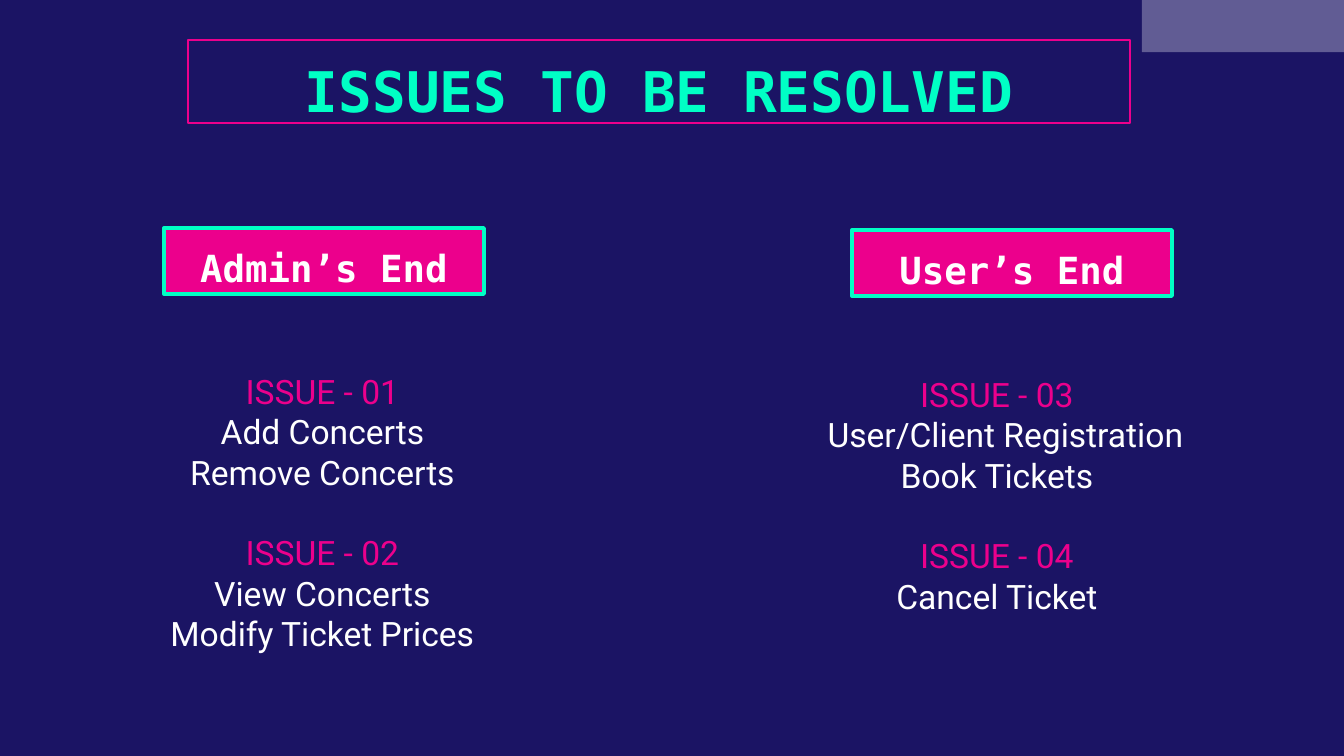
from lxml import etree
from pptx import Presentation
from pptx.dml.color import RGBColor
from pptx.enum.shapes import MSO_SHAPE
from pptx.enum.text import MSO_ANCHOR, MSO_AUTO_SIZE, PP_ALIGN
from pptx.oxml.ns import qn
from pptx.util import Emu, Pt

RECT = MSO_SHAPE.RECTANGLE
TOP = MSO_ANCHOR.TOP
NO_FIT = MSO_AUTO_SIZE.NONE
CENTER = PP_ALIGN.CENTER
TITLE_ONLY = 5

EMU_PER_PX = 914400 / 134.4
NAVY, PINK, MINT, WHITE = "1B1464", "EC008C", "00FFC5", "FFFFFF"
MONO, SANS = "DejaVu Sans Mono", "Roboto"
INSET, LABEL_INSET = 13, 17
BODY_SIZE, LINE_HEIGHT = 18, 21.6
INDENT = 16

ADMIN_ISSUES = [
    ("ISSUE - 01", ["Add Concerts", "Remove Concerts"]),
    ("ISSUE - 02", ["View Concerts", "Modify Ticket Prices"]),
]
USER_ISSUES = [
    ("ISSUE - 03", ["User/Client Registration", "Book Tickets"]),
    ("ISSUE - 04", ["Cancel Ticket"]),
]
# Lines set further in than the rest
EXTRA_INDENT = {"User/Client Registration": 17}


def px(n):
    return Emu(round(n * EMU_PER_PX))


def rgb(code):
    return RGBColor.from_string(code)


def add_run(p, text, size, font, color, bold=False):
    p.alignment = CENTER
    r = p.add_run()
    r.text = text
    r.font.size, r.font.name, r.font.bold = Pt(size), font, bold
    r.font.color.rgb = rgb(color)


def set_frame(tf, top_inset):
    tf.word_wrap = True
    tf.auto_size = NO_FIT
    tf.vertical_anchor = TOP
    tf.margin_left = tf.margin_right = tf.margin_bottom = px(INSET)
    tf.margin_top = px(top_inset)


def set_line(sp, color, width):
    sp.line.color.rgb = rgb(color)
    sp.line.width = Pt(width)


def add_corner(slide, x, y, w, h):
    builder = slide.shapes.build_freeform(px(x + w), px(y))
    builder.add_line_segments(
        [(px(x + w), px(y + h)), (px(x), px(y + h)), (px(x), px(y))])
    sp = builder.convert_to_shape()
    sp.shadow.inherit = False
    sp.fill.solid()
    sp.fill.fore_color.rgb = rgb(WHITE)
    sp.line.fill.background()
    fill_color = sp._element.spPr.find(".//" + qn("a:srgbClr"))
    etree.SubElement(fill_color, qn("a:alpha"), val="31000")


def set_title(slide, text, x, y, w, h):
    sp = slide.shapes.title
    sp.left, sp.top, sp.width, sp.height = px(x), px(y), px(w), px(h)
    set_line(sp, PINK, 0.75)
    set_frame(sp.text_frame, LABEL_INSET)
    add_run(sp.text_frame.paragraphs[0], text, 30, MONO, MINT, bold=True)


def add_label(slide, text, x, y):
    sp = slide.shapes.add_shape(RECT, px(x), px(y), px(320), px(66))
    sp.shadow.inherit = False
    sp.fill.solid()
    sp.fill.fore_color.rgb = rgb(PINK)
    set_line(sp, MINT, 2)
    set_frame(sp.text_frame, LABEL_INSET)
    add_run(sp.text_frame.paragraphs[0], text, 20, MONO, WHITE, bold=True)


def add_issues(slide, issues, x, y, w, h, top_inset=INSET):
    tf = slide.shapes.add_textbox(px(x), px(y), px(w), px(h)).text_frame
    set_frame(tf, top_inset)
    for i, (heading, items) in enumerate(issues):
        for j, text in enumerate([heading] + items):
            p = tf.add_paragraph() if i or j else tf.paragraphs[0]
            if i and not j:
                p.space_before = Pt(LINE_HEIGHT)
            add_run(p, text, BODY_SIZE, SANS, WHITE if j else PINK)
            indent = px(INDENT + EXTRA_INDENT.get(text, 0))
            p._p.get_or_add_pPr().set("marL", str(indent))


def main():
    prs = Presentation()
    prs.slide_width, prs.slide_height = px(1344), px(756)
    slide = prs.slides.add_slide(prs.slide_layouts[TITLE_ONLY])
    slide.background.fill.solid()
    slide.background.fill.fore_color.rgb = rgb(NAVY)

    # Header
    add_corner(slide, 1142, 0, 202, 52)
    set_title(slide, "ISSUES TO BE RESOLVED", 188, 40, 942, 83)

    # Issue lists
    add_issues(slide, ADMIN_ISSUES, 101, 358, 427, 316)
    add_issues(slide, USER_ISSUES, 741, 320, 496, 318, top_inset=54)

    # Column labels
    add_label(slide, "User’s End", 852, 230)
    add_label(slide, "Admin’s End", 164, 228)

    prs.save("out.pptx")


if __name__ == "__main__":
    main()
